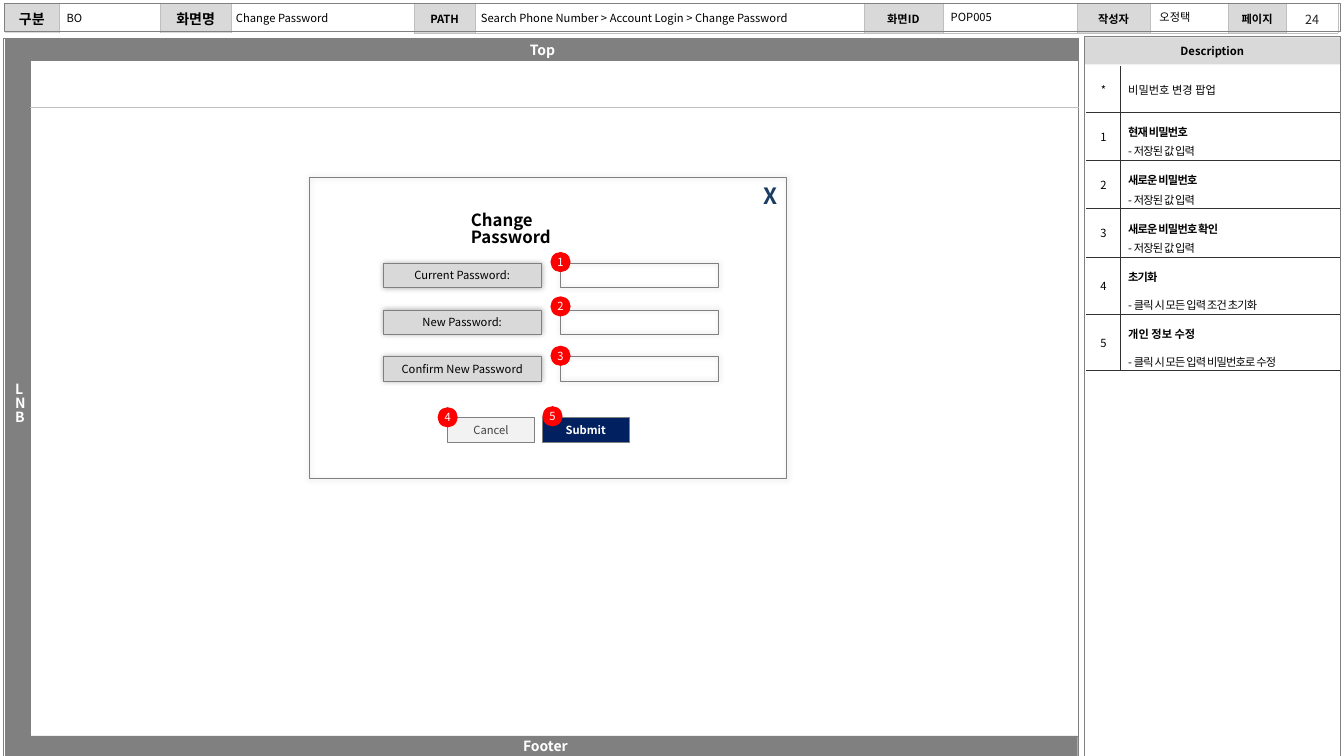
"""Builds the change password pop-up wireframe page."""
import dataclasses

import lxml.etree
import pptx
import pptx.dml.color
import pptx.enum.shapes
import pptx.enum.text
import pptx.oxml
import pptx.oxml.ns
import pptx.util

Inches = pptx.util.Inches
Pt = pptx.util.Pt
Align = pptx.enum.text.PP_ALIGN
Anchor = pptx.enum.text.MSO_ANCHOR
Preset = pptx.enum.shapes.MSO_SHAPE
qn = pptx.oxml.ns.qn


@dataclasses.dataclass(frozen=True)
class Theme:
    """Colours, type sizes and line widths."""
    font: str = "Noto Sans CJK KR"
    black: str = "000000"
    white: str = "FFFFFF"
    frame: str = "808080"
    label: str = "D9D9D9"
    rule: str = "BFBFBF"
    ink: str = "313131"
    number: str = "262626"
    muted: str = "404040"
    pale: str = "F2F2F2"
    navy: str = "002060"
    close: str = "1C3D62"
    marker: str = "FF0000"
    small: int = 8
    page: int = 9
    medium: int = 10
    title: int = 12
    large: int = 16
    hair: float = 0.25


def rgb(colour):
    """Turn a hex string into a colour."""
    return pptx.dml.color.RGBColor.from_string(colour)


class Wireframe:
    """Draws styled elements on one page."""

    def __init__(self, page, theme):
        self.page = page
        self.theme = theme

    def style(self, span, size, colour, bold=False, tracking=0):
        """Format one run."""
        span.font.size = Pt(size)
        span.font.bold = bold
        span.font.color.rgb = rgb(colour)
        span.font.name = self.theme.font
        props = span.font._element
        lxml.etree.SubElement(props, qn("a:ea")).set("typeface", self.theme.font)
        if tracking:
            props.set("spc", str(round(tracking * 100)))

    def set_text(self, frame, text, size, colour, bold=False, align=Align.LEFT,
                 anchor=Anchor.TOP, inset=(0.1, 0.05), wrap=True, hang=0, spacing=None):
        """Fill a text frame with one styled paragraph."""
        frame.text = text
        frame.word_wrap = wrap
        frame.vertical_anchor = anchor
        frame.margin_left = frame.margin_right = Inches(inset[0])
        frame.margin_top = frame.margin_bottom = Inches(inset[1])
        para = frame.paragraphs[0]
        para.alignment = align
        para.line_spacing = spacing
        if hang:
            props = para._p.get_or_add_pPr()
            props.set("marL", str(Inches(hang)))
            props.set("indent", str(-Inches(hang)))
        for span in para.runs:
            self.style(span, size, colour, bold)

    def label(self, at, text, size, colour, inset=(0.05, 0.05), **style):
        """Add a text box."""
        box = self.page.shapes.add_textbox(*map(Inches, at))
        self.set_text(box.text_frame, text, size, colour, inset=inset, **style)

    def panel(self, at, fill=None, line=None, width=0.5, glow=False,
              preset=Preset.RECTANGLE, text=None, **style):
        """Add a preset shape, with centred text if given."""
        box = self.page.shapes.add_shape(preset, *map(Inches, at))
        box.shadow.inherit = False
        if fill:
            box.fill.solid()
            box.fill.fore_color.rgb = rgb(fill)
        else:
            box.fill.background()
        if line:
            box.line.color.rgb = rgb(line)
            box.line.width = Pt(width)
        else:
            box.line.fill.background()
        if glow:
            effects = box._element.spPr.find(qn("a:effectLst"))
            shadow = lxml.etree.SubElement(effects, qn("a:outerShdw"), blurRad=str(Pt(4)), dist="0")
            tint = lxml.etree.SubElement(shadow, qn("a:srgbClr"), val=self.theme.black)
            lxml.etree.SubElement(tint, qn("a:alpha"), val="30000")
        if text:
            self.set_text(box.text_frame, text, anchor=Anchor.MIDDLE,
                          **{"align": Align.CENTER, **style})

    def marker(self, left, top, number):
        """Add a numbered red dot."""
        self.panel((left, top, 0.2, 0.2), self.theme.marker, preset=Preset.OVAL, text=str(number),
                   size=self.theme.small, colour=self.theme.white, inset=(0, 0.05))

    def rule(self, start, end):
        """Add a straight hairline."""
        line = self.page.shapes.add_connector(
            pptx.enum.shapes.MSO_CONNECTOR.STRAIGHT, *map(Inches, start + end))
        line.line.color.rgb = rgb(self.theme.rule)
        line.line.width = Pt(self.theme.hair)
        lxml.etree.SubElement(line._element.spPr, qn("a:effectLst"))

    def grid(self, left, top, columns, rows):
        """Add a plain table with the given column widths and row heights."""
        holder = self.page.shapes.add_table(
            len(rows), len(columns), Inches(left), Inches(top),
            Inches(sum(columns)), Inches(sum(rows)))
        table = holder.table
        table.first_row = table.horz_banding = False
        for column, width in zip(table.columns, columns):
            column.width = Inches(width)
        for row, height in zip(table.rows, rows):
            row.height = Inches(height)
        return table

    def cell(self, cell, fill, inset, borders):
        """Set fill, margins and left, right, top, bottom borders of a cell."""
        cell.vertical_anchor = Anchor.MIDDLE
        cell.margin_left = cell.margin_right = Inches(inset[0])
        cell.margin_top = cell.margin_bottom = Inches(inset[1])
        props = cell._tc.get_or_add_tcPr()
        for side, (colour, width) in zip(("lnL", "lnR", "lnT", "lnB"), borders):
            line = lxml.etree.SubElement(props, qn("a:" + side), w=str(Pt(width)))
            solid = lxml.etree.SubElement(line, qn("a:solidFill"))
            lxml.etree.SubElement(solid, qn("a:srgbClr"), val=colour)
        if fill:
            cell.fill.solid()
            cell.fill.fore_color.rgb = rgb(fill)
        else:
            cell.fill.background()

    def header(self, labels, columns):
        """Add the document header, labels in every other cell."""
        theme = self.theme
        table = self.grid(0.04, 0.03, columns, [0.28])
        grey, white = (theme.rule, theme.hair), (theme.white, theme.hair)
        for index, cell in enumerate(table.iter_cells()):
            is_label = index % 2 == 0
            self.cell(cell, theme.label if is_label else None, (0.12, 0.05),
                      (grey if index else white, grey, white, white if index < 4 else grey))
            para = cell.text_frame.paragraphs[0]
            para.alignment = Align.CENTER
            if is_label:
                para.text = labels[index // 2]
                size = theme.medium if index < 4 else theme.small
                self.style(para.runs[0], size, theme.black, True)
            else:
                lxml.etree.SubElement(para._p, qn("a:endParaRPr"), sz=str(theme.small * 100))

    def descriptions(self, entries):
        """Add the description table from mark, lines, height, tracking and gap."""
        theme = self.theme
        table = self.grid(10.78, 0.66, [0.33, 2.17], [entry[2] for entry in entries])
        ink, white = (theme.ink, theme.hair), (theme.white, 1)
        for index, (mark, lines, _, tracking, gap) in enumerate(entries):
            above = ink if index else white
            left, right = table.rows[index].cells
            self.cell(left, theme.white, (0.08, 0.08), (white, ink, above, ink))
            self.cell(right, theme.white, (0.08, 0.08), (ink, white, above, ink))
            left.text_frame.text = mark
            para = left.text_frame.paragraphs[0]
            para.alignment = Align.CENTER
            para.space_after = Pt(6)
            self.style(para.runs[0], theme.small, theme.black)
            right.text_frame.text = "\n".join(lines)
            for order, para in enumerate(right.text_frame.paragraphs):
                if len(lines) > 1:
                    para.line_spacing = 1.2
                    para.space_after = Pt(gap)
                heading = order == 0 and len(lines) > 1
                self.style(para.runs[0], theme.small, theme.black, heading,
                           tracking if heading else -0.6 * order)


def main():
    """Build and save the page."""
    deck = pptx.Presentation()
    deck.slide_width, deck.slide_height = Inches(13.33), Inches(7.5)
    theme = Theme()
    draw = Wireframe(deck.slides.add_slide(deck.slide_layouts[6]), theme)
    small, black, white, grey = theme.small, theme.black, theme.white, theme.frame

    draw.panel((0.03, 0.38, 10.67, 7.12), white, grey)
    draw.panel((10.76, 0.37, 2.53, 0.27), theme.label, text="Description", size=small,
               colour=black, bold=True, inset=(0, 0))
    draw.header(["구분", "화면명", "PATH", "화면ID", "작성자", "페이지"],
                [0.55, 1, 0.7, 1.82, 0.6, 3.86, 0.78, 1.33, 0.73, 0.77, 0.58, 0.51])
    draw.panel((0.04, 0.03, 13.25, 0.28), line=grey)
    draw.panel((10.76, 0.36, 2.53, 7.14), line=grey)
    band = dict(fill=grey, line=grey, width=theme.hair, size=theme.medium, colour=white,
                bold=True, hang=0.06)
    draw.panel((0.05, 0.38, 0.25, 7.12), text=" LNB", align=Align.LEFT, inset=(0.04, 0.05),
               spacing=0.82, **band)
    draw.panel((0.13, 7.3, 10.56, 0.2), text="Footer", **band)
    draw.panel((0.07, 0.38, 10.62, 0.22), text="Top", **band)

    draw.label((12.78, 0.05, 0.47, 0.28), "24", theme.page, theme.number, (0.1, 0.05),
               align=Align.CENTER, anchor=Anchor.MIDDLE)
    for left, top, width, text in (
            (0.61, 0.06, 0.95, "BO"), (2.29, 0.06, 1.81, "Change Password"),
            (4.72, 0.06, 3.85, "Search Phone Number > Account Login > Change Password"),
            (9.38, 0.05, 0.73, "POP005"), (11.45, 0.05, 0.73, "오정택")):
        draw.label((left, top, width, 0.24), text, small, black)
    draw.rule((0.3, 1.06), (10.7, 1.06))

    draw.panel((3.07, 1.76, 4.73, 2.99), line=grey, glow=True)
    draw.label((4.62, 2.07, 1.52, 0.3), "Change Password", theme.title, black, bold=True,
               spacing=0.82)
    draw.label((7.16, 1.76, 0.65, 0.37), "X", theme.large, theme.close, (0.1, 0.05),
               bold=True, align=Align.RIGHT)
    fields = ("Current Password:", "New Password:", "Confirm New Password")
    for index, (text, dot) in enumerate(zip(fields, (2.5, 2.94, 3.43))):
        top = 2.61 + 0.465 * index
        draw.panel((5.56, top, 1.57, 0.24), line=grey, glow=True)
        draw.panel((3.8, top, 1.57, 0.24), theme.label, grey, glow=True, text=text, size=small,
                   colour=black, wrap=False)
        draw.marker(5.46, dot, index + 1)
    for left, text, fill, colour, bold in ((5.38, "Submit", theme.navy, white, True),
                                           (4.44, "Cancel", theme.pale, theme.muted, False)):
        draw.panel((left, 4.14, 0.86, 0.25), fill, grey, text=text, size=small,
                   colour=colour, bold=bold, inset=(0, 0.04))
    draw.marker(4.34, 4.04, 4)
    draw.marker(5.38, 4.03, 5)

    saved = "- 저장된 값 입력"
    draw.descriptions([
        ("*", ["비밀번호 변경 팝업"], 0.45, 0, 0),
        ("1", ["현재 비밀번호", saved], 0.48, -0.6, 0),
        ("2", ["새로운 비밀번호", saved], 0.48, -0.6, 0),
        ("3", ["새로운 비밀번호 확인", saved], 0.48, -0.6, 0),
        ("4", ["초기화", "- 클릭 시 모든 입력 조건 초기화"], 0.56, -0.6, 6),
        ("5", ["개인 정보 수정", "- 클릭 시 모든 입력 비밀번호로 수정"], 0.56, 0, 6)])
    deck.save("out.pptx")


if __name__ == "__main__":
    main()
